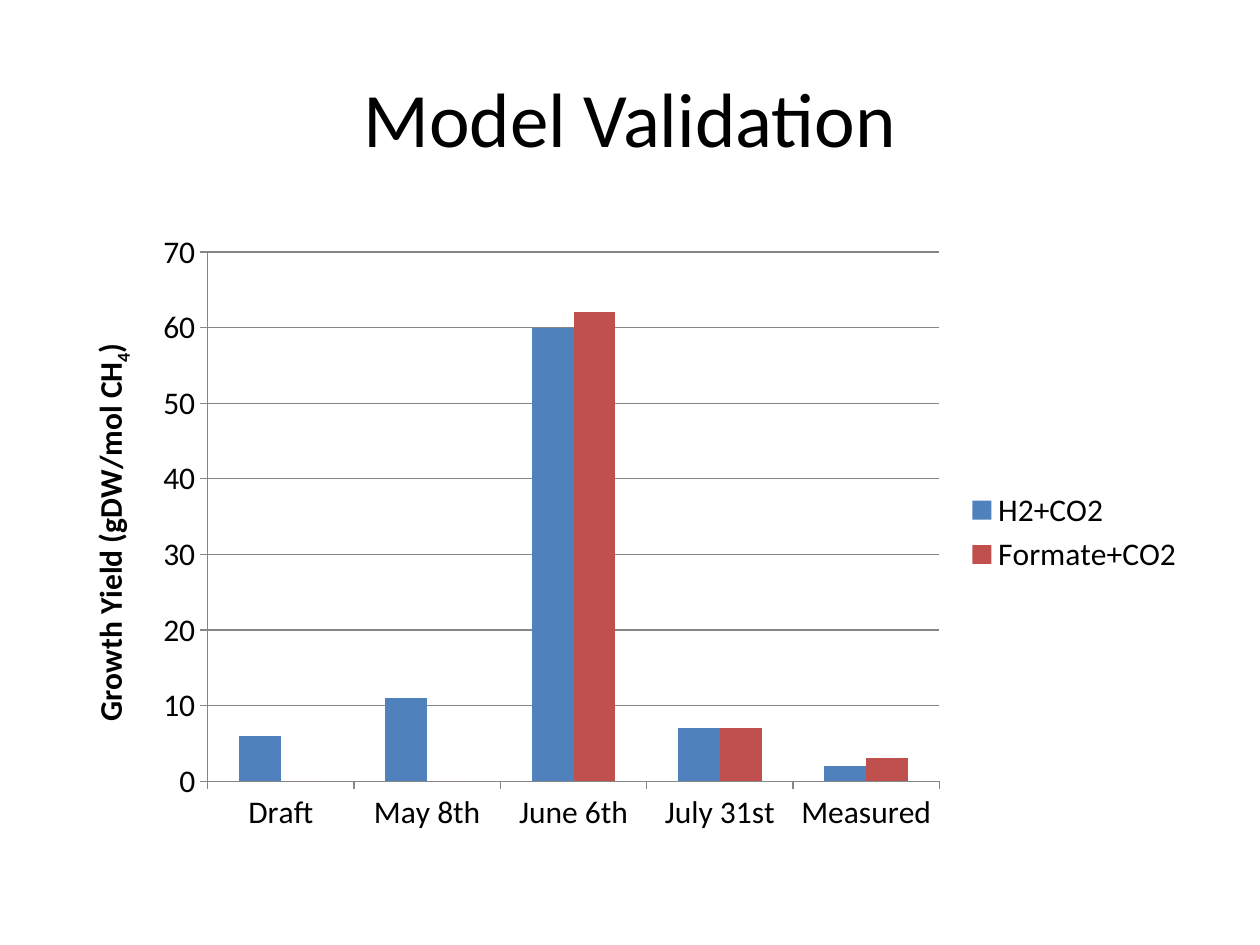
from dataclasses import dataclass

from pptx import Presentation
from pptx.chart.data import CategoryChartData
from pptx.dml.color import RGBColor
from pptx.enum.chart import XL_CHART_TYPE, XL_LEGEND_POSITION, XL_TICK_MARK
from pptx.enum.text import MSO_ANCHOR, PP_ALIGN
from pptx.util import Pt

TITLE = "Model Validation"
CATEGORIES = ["Draft", "May 8th", "June 6th", "July 31st", "Measured"]
SERIES = {
    "H2+CO2": [6, 11, 60, 7, 2],
    "Formate+CO2": [0, 0, 62, 7, 3],
}
AXIS_TITLE = [("Growth Yield (gDW/mol CH", False), ("4", True), (")", False)]


@dataclass(frozen=True)
class Theme:
    font: str = "Calibri"
    title_size: Pt = Pt(44)
    chart_size: Pt = Pt(18)
    text: RGBColor = RGBColor(0, 0, 0)
    line: RGBColor = RGBColor(0x86, 0x86, 0x86)
    bars: tuple = (RGBColor(0x4F, 0x81, 0xBD), RGBColor(0xC0, 0x50, 0x4D))


theme = Theme()
MARGIN, WIDTH = Pt(36), Pt(648)


def style(font, size):
    font.name = theme.font
    font.size = size
    font.color.rgb = theme.text


def style_line(line):
    line.color.rgb = theme.line
    line.width = Pt(0.75)


prs = Presentation()
prs.slide_width, prs.slide_height = Pt(720), Pt(540)
s = prs.slides.add_slide(prs.slide_layouts[5])

title = s.shapes.title
title.left, title.top, title.width, title.height = MARGIN, Pt(21.6), WIDTH, Pt(90)
tf = title.text_frame
tf.text = TITLE
tf.vertical_anchor = MSO_ANCHOR.MIDDLE
p = tf.paragraphs[0]
p.alignment = PP_ALIGN.CENTER
style(p.font, theme.title_size)

data = CategoryChartData()
data.categories = CATEGORIES
for name, values in SERIES.items():
    data.add_series(name, values)
chart = s.shapes.add_chart(
    XL_CHART_TYPE.COLUMN_CLUSTERED, MARGIN, Pt(126), WIDTH, Pt(356.4), data
).chart
style(chart.font, theme.chart_size)
chart.has_title = False
chart.has_legend = True
chart.legend.position = XL_LEGEND_POSITION.RIGHT
chart.legend.include_in_layout = False

plot = chart.plots[0]
plot.gap_width, plot.overlap = 150, 0
plot.vary_by_categories = False
for series, color in zip(plot.series, theme.bars):
    series.format.fill.solid()
    series.format.fill.fore_color.rgb = color
    series.invert_if_negative = False

for axis in (chart.category_axis, chart.value_axis):
    axis.major_tick_mark = XL_TICK_MARK.OUTSIDE
    axis.minor_tick_mark = XL_TICK_MARK.NONE
    style_line(axis.format.line)

axis = chart.value_axis
axis.minimum_scale, axis.maximum_scale, axis.major_unit = 0, 70, 10
axis.tick_labels.number_format = "General"
axis.tick_labels.number_format_is_linked = False
axis.has_major_gridlines = True
style_line(axis.major_gridlines.format.line)

p = axis.axis_title.text_frame.paragraphs[0]
for text, subscript in AXIS_TITLE:
    r = p.add_run()
    r.text = text
    style(r.font, theme.chart_size)
    r.font.bold = True
    if subscript:
        r._r.get_or_add_rPr().set("baseline", "-25000")

prs.save("out.pptx")
